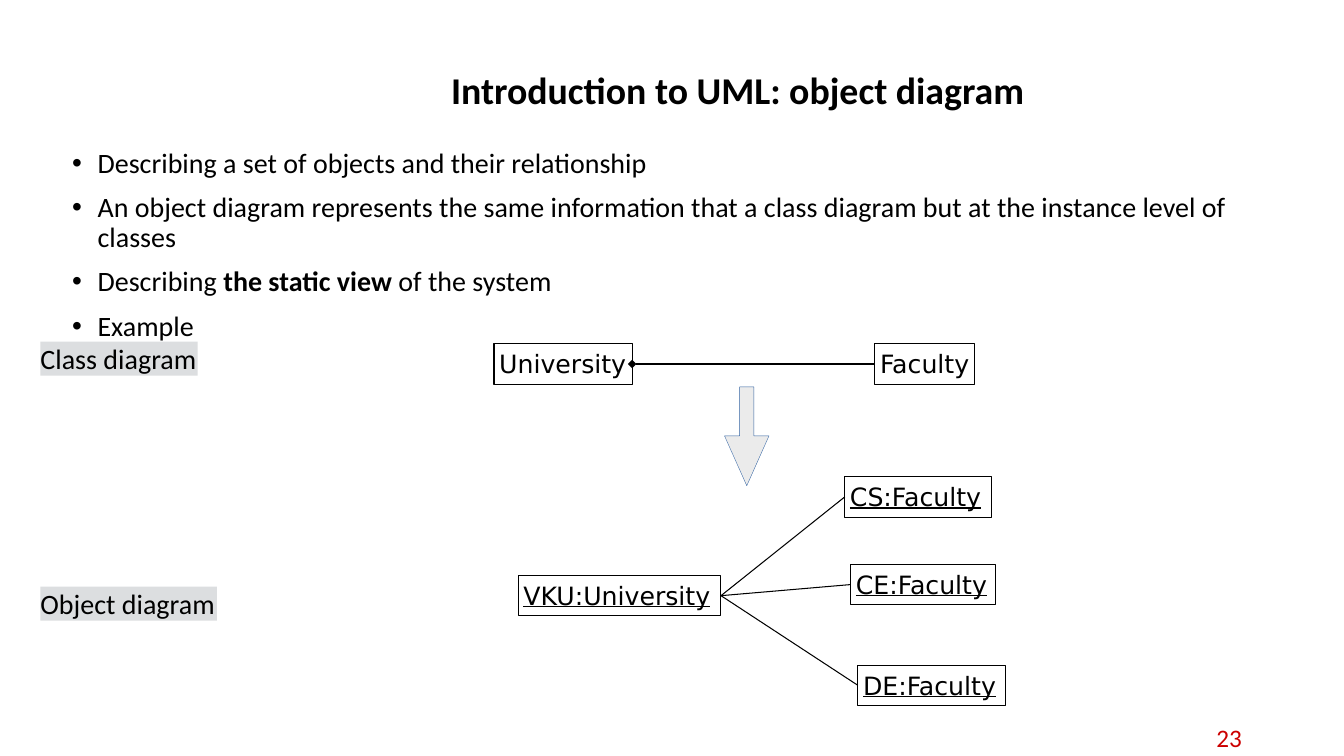
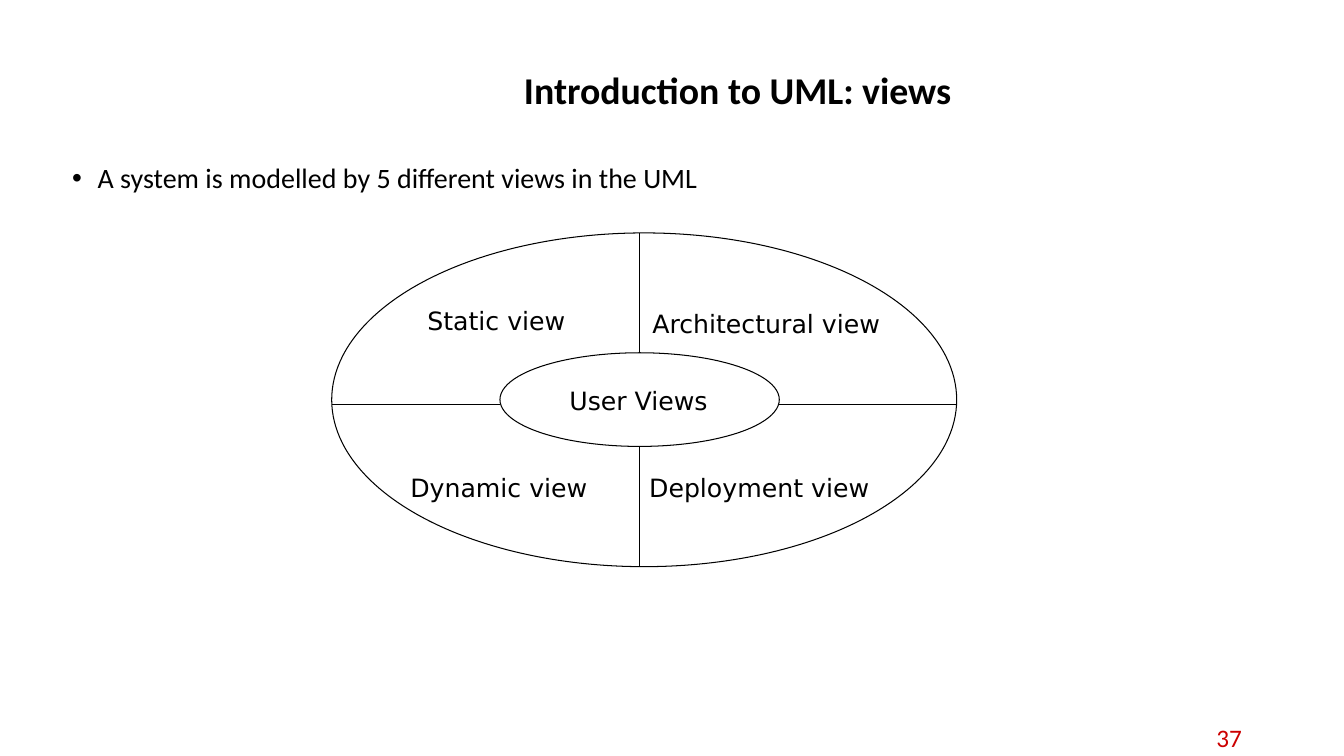
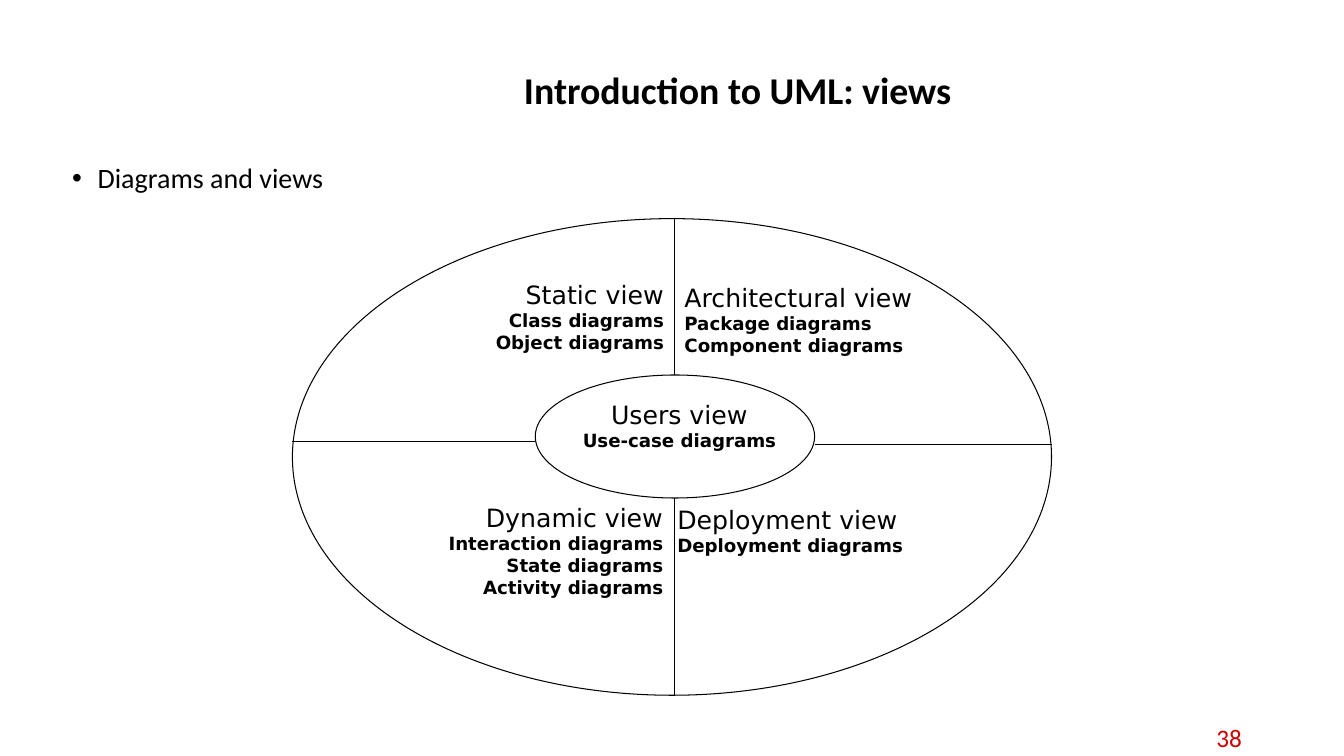
from lxml import etree
from pptx import Presentation
from pptx import util as u
from pptx.dml.color import RGBColor
from pptx.enum import shapes, text
from pptx.oxml import ns

COLORS = {
    "ink": "000000",
    "number": "CC0000",
    "label": "DCDEE0",
    "arrow": "EBEBEB",
    "arrow_edge": "3465A4",
}
BODY_FONT = "Calibri"
DIAGRAM_FONT = "DejaVu Sans"
LEFT, CENTER, RIGHT = text.PP_ALIGN.LEFT, text.PP_ALIGN.CENTER, text.PP_ALIGN.RIGHT
TOP, MIDDLE = text.MSO_ANCHOR.TOP, text.MSO_ANCHOR.MIDDLE
RECTANGLE = shapes.MSO_SHAPE.RECTANGLE


def rgb(name):
    return RGBColor.from_string(COLORS[name])


class Deck:
    def __init__(self):
        self.presentation = Presentation()
        self.presentation.slide_width = u.Cm(33.87)
        self.presentation.slide_height = u.Cm(19.05)
        self.slide = None

    def new_slide(self, title, number):
        self.slide = self.presentation.slides.add_slide(self.presentation.slide_layouts[6])
        frame = self.text_box((23.93, 18.14, 7.62, 0.91), MIDDLE)
        self.add_run(self.paragraph(frame, RIGHT), number, 18, color="number")
        frame = self.text_box((5.66, 1.02, 25.86, 2.59), MIDDLE)
        paragraph = self.paragraph(frame, CENTER)
        paragraph.line_spacing = 0.9
        self.add_run(paragraph, title, 27, bold=True)

    def text_box(self, box, anchor=TOP):
        frame = self.slide.shapes.add_textbox(*map(u.Cm, box)).text_frame
        frame.word_wrap = True
        frame.vertical_anchor = anchor
        return frame

    def fit_text(self, frame, inset, anchor=TOP):
        frame.word_wrap = False
        frame.vertical_anchor = anchor
        frame.margin_left = frame.margin_right = u.Cm(inset)
        frame.margin_top = frame.margin_bottom = u.Cm(inset)

    def paragraph(self, frame, align=LEFT):
        first = frame.paragraphs[0]
        paragraph = frame.add_paragraph() if first.runs else first
        paragraph.alignment = align
        return paragraph

    def add_run(self, paragraph, words, size, font=BODY_FONT, color="ink", bold=False, underline=False):
        run = paragraph.add_run()
        run.text = words
        run.font.name = font
        run.font.size = u.Pt(size)
        run.font.bold = bold
        run.font.underline = underline
        run.font.color.rgb = rgb(color)

    def bullets(self, top, items):
        frame = self.text_box((1.57, top, 29.97, 17.14 - top))
        for index, item in enumerate(items):
            paragraph = self.paragraph(frame)
            paragraph.line_spacing = 0.9
            paragraph.space_before = u.Pt(10 if index else 0)
            properties = paragraph._p.get_or_add_pPr()
            properties.set("marL", str(u.Cm(0.64)))
            properties.set("indent", str(-u.Cm(0.64)))
            etree.SubElement(properties, ns.qn("a:buFont")).set("typeface", "Arial")
            etree.SubElement(properties, ns.qn("a:buChar")).set("char", "•")
            for words, bold in item:
                self.add_run(paragraph, words, 20, bold=bold)

    def shape(self, kind, box, fill=None, line=None, width=0.75):
        shape = self.slide.shapes.add_shape(kind, *map(u.Cm, box))
        shape.shadow.inherit = False
        if fill:
            shape.fill.solid()
            shape.fill.fore_color.rgb = rgb(fill)
        else:
            shape.fill.background()
        if line:
            shape.line.color.rgb = rgb(line)
            shape.line.width = u.Pt(width)
        else:
            shape.line.fill.background()
        return shape

    def label(self, top, width, words):
        shape = self.shape(RECTANGLE, (1.02, top, width, 0.86), fill="label")
        self.fit_text(shape.text_frame, 0, MIDDLE)
        self.add_run(self.paragraph(shape.text_frame), words, 20)

    def uml_box(self, left, top, width, words, underline=False):
        shape = self.shape(RECTANGLE, (left, top, width, 1.02), line="ink")
        self.fit_text(shape.text_frame, 0.13)
        self.add_run(self.paragraph(shape.text_frame), words, 18, DIAGRAM_FONT, underline=underline)
        return shape

    def line(self, start=(0, 0), end=(0, 0), width=0.75):
        connector = self.slide.shapes.add_connector(
            shapes.MSO_CONNECTOR.STRAIGHT, *map(u.Cm, start + end))
        connector.line.color.rgb = rgb("ink")
        connector.line.width = u.Pt(width)
        etree.SubElement(connector._element.spPr, ns.qn("a:effectLst"))
        return connector

    def join(self, source, target, width=0.75, head=None):
        connector = self.line(width=width)
        connector.begin_connect(source, 3)
        connector.end_connect(target, 1)
        if head:
            outline = connector.line._get_or_add_ln()
            etree.SubElement(outline, ns.qn("a:headEnd")).set("type", head)

    def view_map(self, outer, inner, left_y, right_y):
        for box in (outer, inner):
            self.shape(shapes.MSO_SHAPE.OVAL, box, line="ink")
        outer_left, outer_top, outer_width, outer_height = outer
        inner_left, inner_top, inner_width, inner_height = inner
        middle = inner_left + inner_width / 2
        self.line((outer_left, left_y), (inner_left, left_y))
        self.line((inner_left + inner_width, right_y), (outer_left + outer_width, right_y))
        self.line((middle, outer_top), (middle, inner_top))
        self.line((middle, inner_top + inner_height), (middle, outer_top + outer_height))

    def view(self, box, name, diagrams=(), align=LEFT):
        frame = self.text_box(box)
        self.fit_text(frame, 0.13)
        self.add_run(self.paragraph(frame, align), name, 18, DIAGRAM_FONT)
        for diagram in diagrams:
            self.add_run(self.paragraph(frame, align), diagram, 13, DIAGRAM_FONT, bold=True)


def object_diagram_slide(deck):
    deck.new_slide("Introduction to UML: object diagram", "23")
    deck.bullets(3.63, [
        [("Describing a set of objects and their relationship", False)],
        [("An object diagram represents the same information that a class diagram "
          "but at the instance level of classes", False)],
        [("Describing ", False), ("the static view", True), (" of the system", False)],
        [("Example", False)],
    ])
    university = deck.uml_box(12.45, 8.66, 3.48, "University")
    faculty = deck.uml_box(22.05, 8.66, 2.51, "Faculty")
    deck.join(university, faculty, 2, "diamond")
    deck.label(8.61, 3.96, "Class diagram")
    deck.label(14.78, 4.45, "Object diagram")
    arrow = deck.shape(shapes.MSO_SHAPE.DOWN_ARROW, (18.26, 9.75, 1.12, 2.49),
                       "arrow", "arrow_edge", 0.25)
    arrow.adjustments[0] = 0.32
    arrow.adjustments[1] = 1.12
    vku = deck.uml_box(13.06, 14.5, 5.11, "VKU:University", True)
    for left, top, width, words in (
        (21.29, 12.01, 3.71, "CS:Faculty"),
        (21.44, 14.22, 3.66, "CE:Faculty"),
        (21.62, 16.76, 3.71, "DE:Faculty"),
    ):
        deck.join(vku, deck.uml_box(left, top, width, words, True))


def five_views_slide(deck):
    deck.new_slide("Introduction to UML: views", "37")
    deck.bullets(4.01, [[("A system is modelled by 5 different views in the UML", False)]])
    deck.view_map((8.36, 5.87, 15.75, 8.41), (12.6, 8.89, 7.04, 2.36), 10.19, 10.19)
    for left, top, width, name in (
        (10.64, 7.57, 3.78, "Static view"),
        (16.31, 7.65, 6.02, "Architectural view"),
        (14.22, 9.58, 3.78, "User Views"),
        (10.21, 11.76, 4.75, "Dynamic view"),
        (16.23, 11.76, 5.84, "Deployment view"),
    ):
        deck.view((left, top, width, 1.17), name)


def diagrams_and_views_slide(deck):
    deck.new_slide("Introduction to UML: views", "38")
    deck.bullets(4.01, [[("Diagrams and views", False)]])
    deck.view_map((7.37, 5.51, 19.13, 12.01), (13.49, 9.45, 7.04, 3.1), 11.13, 11.2)
    deck.view((12.34, 6.91, 4.52, 3.2), "Static view",
              ["Class diagrams", "Object diagrams"], RIGHT)
    deck.view((17.12, 6.99, 6.02, 3.2), "Architectural view",
              ["Package diagrams", "Component diagrams"])
    deck.view((14.53, 9.93, 5.18, 2.36), "Users view", ["Use-case diagrams"], CENTER)
    deck.view((11.07, 12.52, 5.77, 4.04), "Dynamic view",
              ["Interaction diagrams", "State diagrams", "Activity diagrams"], RIGHT)
    deck.view((16.94, 12.57, 5.97, 2.36), "Deployment view", ["Deployment diagrams"])


def main():
    deck = Deck()
    object_diagram_slide(deck)
    five_views_slide(deck)
    diagrams_and_views_slide(deck)
    deck.presentation.save("out.pptx")


if __name__ == "__main__":
    main()
